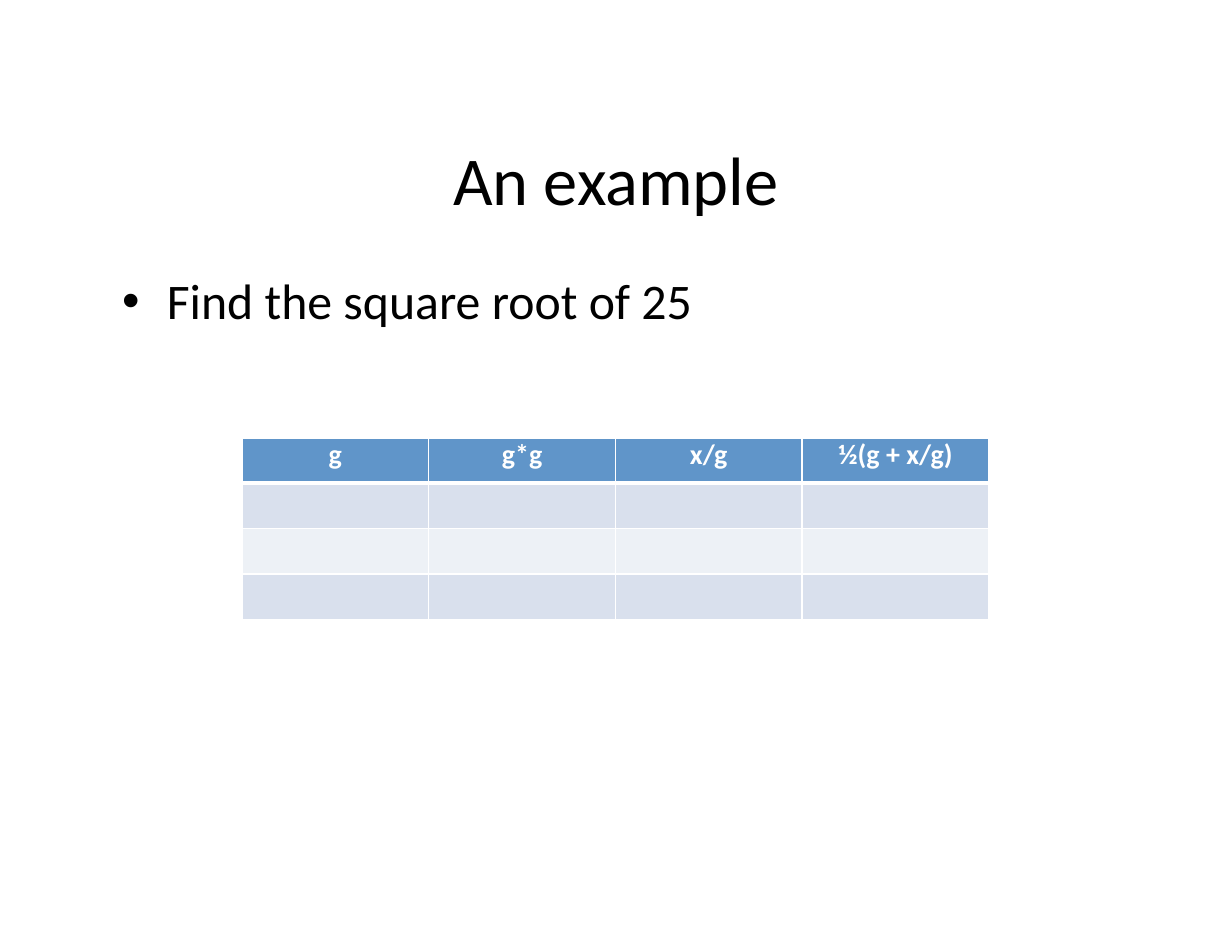
from lxml import etree
from pptx import Presentation
from pptx.dml.color import RGBColor
from pptx.enum import text
from pptx.oxml import ns
from pptx.util import Inches, Pt

HEADINGS = ["g", "g*g", "x/g", "½(g + x/g)"]
ROW_FILLS = ["6095C9", "D9E0ED", "EDF1F6", "D9E0ED"]


def color(hex_value):
    """Turn a hex string into a colour."""
    return RGBColor.from_string(hex_value)


def clear_margins(holder, top=0):
    """Remove the insets of a frame or cell, apart from the top one."""
    holder.margin_left = holder.margin_right = holder.margin_bottom = 0
    holder.margin_top = Inches(top)


def add_run(paragraph, wording, size, ink="000000", bold=False):
    """Add one formatted run."""
    run = paragraph.add_run()
    run.text = wording
    run.font.name = "Calibri"
    run.font.size = Pt(size)
    run.font.bold = bold
    run.font.color.rgb = color(ink)


def add_title(slide, left, top, width, height):
    """Place the centred title."""
    title = slide.shapes.title
    title.left, title.top = Inches(left), Inches(top)
    title.width, title.height = Inches(width), Inches(height)
    frame = title.text_frame
    clear_margins(frame, 0.34)
    frame.vertical_anchor = text.MSO_ANCHOR.TOP
    frame.paragraphs[0].alignment = text.PP_ALIGN.CENTER
    add_run(frame.paragraphs[0], "An example", 44)


def add_task(slide, left, top, width, height):
    """Place the bulleted task."""
    task = slide.shapes.add_textbox(
        Inches(left), Inches(top), Inches(width), Inches(height))
    frame = task.text_frame
    frame.word_wrap = True
    clear_margins(frame, 0.03)
    paragraph = frame.paragraphs[0]
    add_run(paragraph, "Find the square root of 25", 32)
    properties = paragraph._p.get_or_add_pPr()
    properties.set("marL", str(Inches(0.4)))
    properties.set("indent", str(-Inches(0.4)))
    etree.SubElement(properties, ns.qn("a:buFont"), typeface="Arial")
    etree.SubElement(properties, ns.qn("a:buChar"), char="•")


def set_borders(cell, top, bottom):
    """Draw white cell borders with the given top and bottom widths."""
    properties = cell._tc.get_or_add_tcPr()
    widths = {"lnL": 1, "lnR": 1, "lnT": top, "lnB": bottom}
    for index, (side, width) in enumerate(widths.items()):
        line = etree.Element(ns.qn(f"a:{side}"), w=str(Pt(width)))
        fill = etree.SubElement(line, ns.qn("a:solidFill"))
        etree.SubElement(fill, ns.qn("a:srgbClr"), val="FFFFFF")
        properties.insert(index, line)


def add_guesses(slide, left, top, width, height):
    """Place the table of guesses with its empty rows."""
    guesses = slide.shapes.add_table(
        len(ROW_FILLS), len(HEADINGS), Inches(left), Inches(top),
        Inches(width), Inches(height)).table
    for row, row_fill in enumerate(ROW_FILLS):
        for column, heading in enumerate(HEADINGS):
            cell = guesses.cell(row, column)
            clear_margins(cell)
            cell.fill.solid()
            cell.fill.fore_color.rgb = color(row_fill)
            set_borders(cell, 3 if row == 1 else 1, 3 if row == 0 else 1)
            if row == 0:
                paragraph = cell.text_frame.paragraphs[0]
                paragraph.alignment = text.PP_ALIGN.CENTER
                add_run(paragraph, heading, 18, "FFFFFF", True)


def build():
    """Build and save the slide."""
    deck = Presentation()
    deck.slide_width, deck.slide_height = Inches(11), Inches(8.5)
    slide = deck.slides.add_slide(deck.slide_layouts[5])
    add_title(slide, 0.98, 0.88, 9.04, 1.22)
    add_task(slide, 1.09, 2.38, 5.3, 0.57)
    add_guesses(slide, 2.16, 3.91, 6.67, 1.62)
    deck.save("out.pptx")


build()
